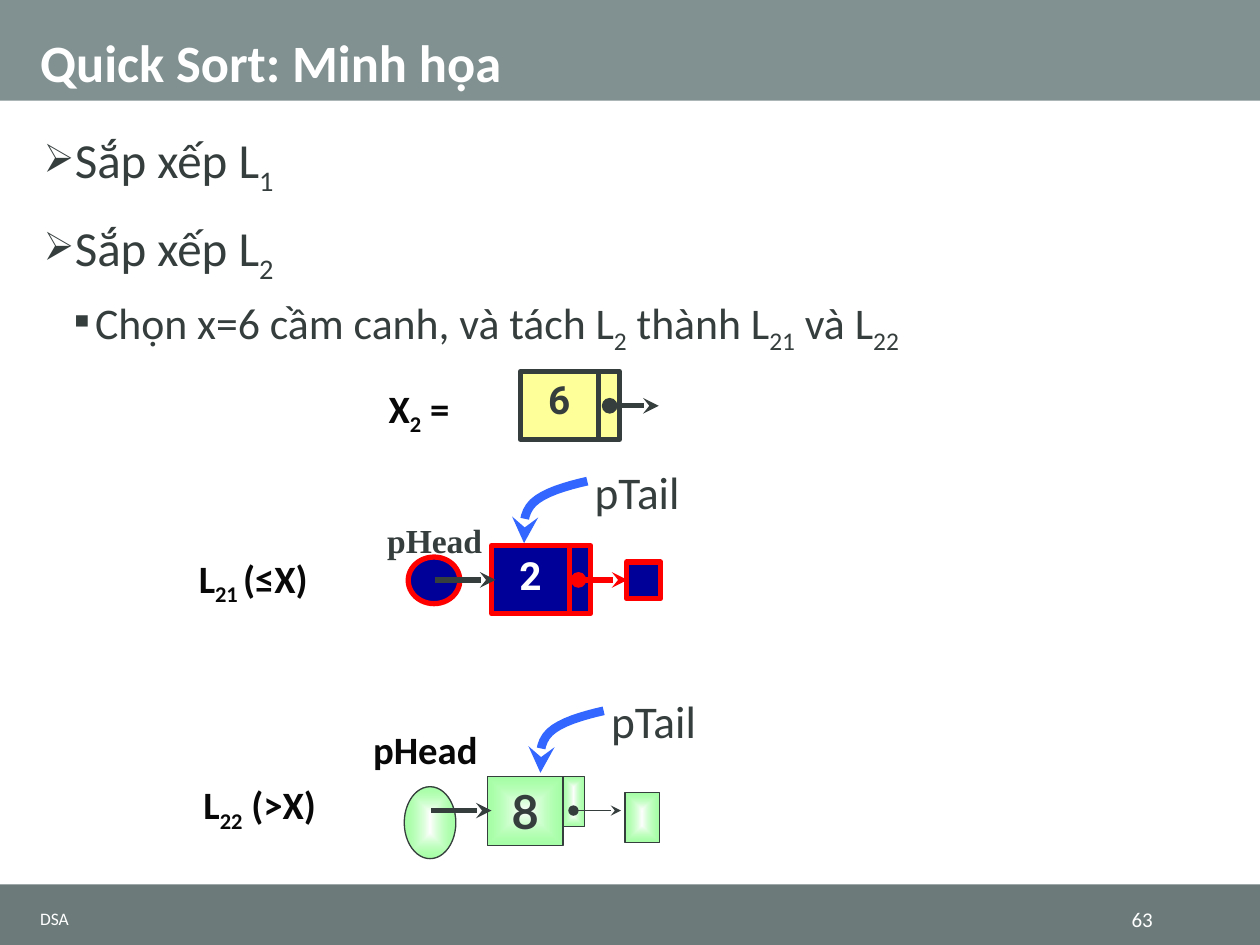
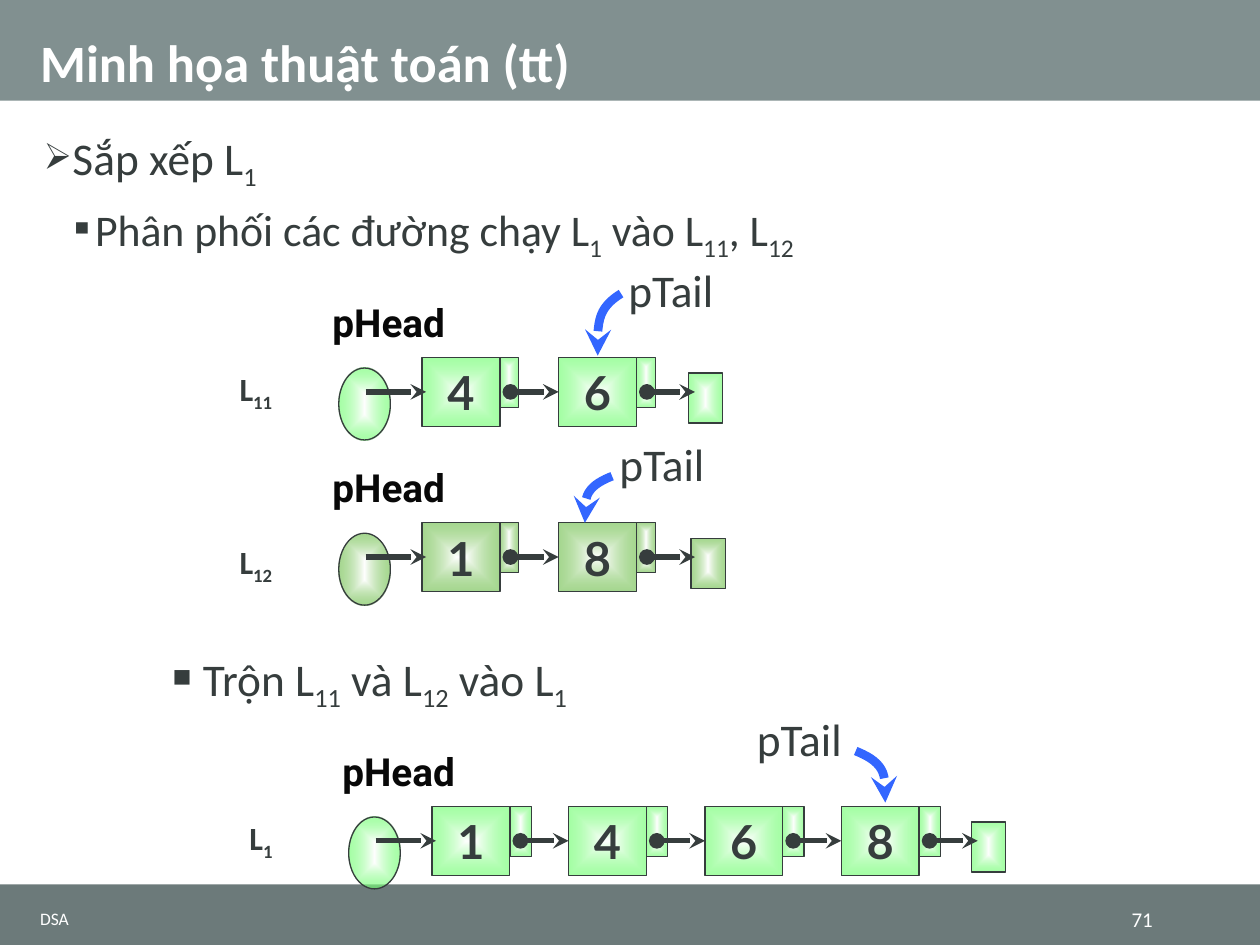
from lxml.etree import SubElement
from pptx import Presentation
from pptx.dml.color import RGBColor as RGB
from pptx.enum.shapes import MSO_CONNECTOR as CONN, MSO_SHAPE as SHAPE
from pptx.enum.text import MSO_ANCHOR as ANCHOR, PP_ALIGN as ALIGN
from pptx.oxml import parse_xml
from pptx.oxml.ns import nsdecls, qn
from pptx.util import Cm, Pt

COLORS = {
    "header": "819090", "footer": "6C7A7A", "ink": "363D3D", "black": "080808",
    "white": "FFFFFF", "yellow": "FFFF99", "navy": "000099", "red": "FF0000",
    "blue": "3366FF", "mint": "69FF69", "leaf": "6ABD45",
}
GRADIENTS = {"mint", "leaf"}
LEFT, CENTER, RIGHT = ALIGN.LEFT, ALIGN.CENTER, ALIGN.RIGHT
TOP, MIDDLE, BOTTOM = ANCHOR.TOP, ANCHOR.MIDDLE, ANCHOR.BOTTOM

STYLES = {
    "title": ("white", LEFT, BOTTOM, {"name": "Calibri", "size": Pt(30), "bold": True}),
    "body28": ("ink", LEFT, TOP, {"name": "Calibri", "size": Pt(28)}),
    "body26": ("ink", LEFT, TOP, {"name": "Calibri", "size": Pt(25.9)}),
    "body25": ("ink", LEFT, TOP, {"name": "Calibri", "size": Pt(25)}),
    "course": ("white", LEFT, MIDDLE, {"name": "Calibri", "size": Pt(10)}),
    "number": ("white", RIGHT, MIDDLE, {"name": "Calibri", "size": Pt(12)}),
    "label": ("black", CENTER, TOP, {"name": "Calibri", "size": Pt(22.1), "bold": True}),
    "phead": ("black", CENTER, TOP, {"name": "Roboto", "size": Pt(22.1), "bold": True}),
    "serif": ("ink", CENTER, TOP, {"name": "Times New Roman", "size": Pt(33.2), "bold": True}),
    "ptail": ("ink", CENTER, TOP, {"name": "Calibri", "size": Pt(25.9)}),
    "tag": ("ink", LEFT, TOP, {"name": "Calibri", "size": Pt(18.5), "bold": True}),
    "value": ("ink", CENTER, TOP, {"name": "Lato", "size": Pt(26.8), "bold": True}),
    "pivot": ("ink", CENTER, TOP, {"name": "Roboto", "size": Pt(22.1), "bold": True}),
    "small": ("white", CENTER, TOP, {"name": "Roboto", "size": Pt(22.1), "bold": True}),
}
BULLETS = {
    "arrow": {"char": "➢", "left": 0.43, "first": -0.36, "space": 6, "pct": 80},
    "square": {"char": "▪", "left": 0.94, "first": -0.36, "space": 0, "pct": 80},
    "merge": {"char": "▪", "left": 1.47, "first": -0.76, "space": 0, "pct": 100},
}
ROW = {
    "fill": "mint", "line": "ink", "width": 0.75, "node": (1.57, 1.39),
    "cell": (0.38, 1.01), "head": (0.21, 1.45), "null": (2.62, 0.31, 1.01),
    "link": (1.78, 2.75), "link_line": ("ink", 3), "style": "value", "inset": 0.13,
}
PITCH = 2.75
BODY = (0.81, 2.62, 23.8, 15.1)

SLIDES = [
    {
        "title": "Quick Sort: Minh họa", "number": "63",
        "bodies": [(BODY, [
            ("Sắp xếp L~1~", "body28", "arrow"),
            ("Sắp xếp L~2~", "body28", "arrow"),
            ("Chọn x=6 cầm canh, và tách L~2~ thành L~21~ và L~22~", "body25", "square"),
        ])],
        "rows": [
            {"values": "6", "x": 10.49, "y": 7.49, "fill": "yellow", "width": 3,
             "node": (1.57, 1.37), "cell": (0.43, 1.37), "head": None, "null": None,
             "link": (1.8, 2.79), "style": "pivot", "inset": 0.08},
            {"values": "2", "x": 9.91, "y": 11, "fill": "navy", "line": "red", "width": 3,
             "node": (1.57, 1.37), "cell": (0.43, 1.37), "head": (0.23, 0.94),
             "null": (2.72, 0.33, 0.74), "link": (1.75, 2.74),
             "link_line": ("red", 3), "style": "small"},
            {"values": "8", "x": 9.83, "y": 15.65, "node": (1.52, 1.39),
             "cell": (0.43, 1.01), "null": (2.77, 0.33, 1.01),
             "link": (1.73, 2.69), "link_line": ("ink", 0.75)},
        ],
        "curves": [(11.84, 9.7, -1.3, 1.25), (12.17, 14.33, -1.3, 1.25)],
        "labels": [
            (7.44, 7.75, 2.01, 1, "X~2~ =", "label"),
            (3.38, 11.18, 3.45, 1.07, "L~21 ~(≤X)", "label"),
            (7.01, 9.7, 3.51, 1.65, "~pHead~", "serif"),
            (11.84, 9.35, 2.01, 1, "pTail", "ptail"),
            (7.19, 14.63, 2.77, 1.12, "pHead", "label"),
            (3.51, 15.75, 3.45, 0.97, "L~22~ (>X)", "label"),
            (12.17, 13.97, 2.01, 1, "pTail", "ptail"),
        ],
    },
    {
        "title": "Minh họa thuật toán (tt)", "number": "71",
        "bodies": [
            (BODY, [
                ("Sắp xếp L~1~", "body26", "arrow"),
                ("Phân phối các đường chạy L~1~ vào L~11~, L~12~", "body25", "square"),
            ]),
            ((2.62, 13.13, 20.7, 1.2), [("Trộn L~11~ và L~12~ vào L~1~", "body26", "merge")]),
        ],
        "rows": [
            {"values": "46", "x": 8.51, "y": 7.21, "tag": ("L~11~", 0.23)},
            {"values": "18", "x": 8.51, "y": 10.54, "fill": "leaf",
             "null": (2.67, 0.31, 1.01), "tag": ("L~12~", 0.38)},
            {"values": "1468", "x": 8.71, "y": 16.26, "cell": (0.43, 1.01),
             "tag": ("L~1~", 0.23)},
        ],
        "curves": [(12.52, 5.92, -0.48, 1.25), (12.34, 9.6, -0.56, 0.94),
                   (17.25, 15.14, 0.61, 1.04)],
        "labels": [
            (12.52, 5.28, 2.01, 1, "pTail", "ptail"),
            (12.34, 8.79, 2.01, 1, "pTail", "ptail"),
            (15.11, 14.33, 2.01, 1, "pTail", "ptail"),
        ],
    },
]
BEND = [
    [(0, 0), (0.33, 0.08), (0.67, 0.18), (0.84, 0.35)],
    [(0.84, 0.35), (1, 0.51), (1, 0.76), (0.98, 1)],
]
STEPS = 8


def write(tf, p, text, style):
    color, align, anchor, fmt = STYLES[style]
    tf.word_wrap = True
    tf.vertical_anchor = anchor
    tf.margin_left = tf.margin_right = tf.margin_bottom = 0
    p.alignment = align
    for i, part in enumerate(text.split("~")):
        if not part:
            continue
        r = p.add_run()
        r.text = part
        for name, value in fmt.items():
            setattr(r.font, name, value)
        r.font.color.rgb = RGB.from_string(COLORS[color])
        if i % 2:
            r._r.get_or_add_rPr().set("baseline", "-25000")


def paint(sp, fill, line, width, head=None, tail=None):
    spPr = sp._element.spPr
    if fill in GRADIENTS:
        sp.fill.gradient()
        spPr.replace(spPr.find(qn("a:gradFill")), parse_xml(
            f'<a:gradFill {nsdecls("a")} rotWithShape="1"><a:gsLst>'
            f'<a:gs pos="0"><a:srgbClr val="{COLORS["white"]}"/></a:gs>'
            f'<a:gs pos="100000"><a:srgbClr val="{COLORS[fill]}">'
            '<a:alpha val="60000"/></a:srgbClr></a:gs></a:gsLst><a:path path="rect">'
            '<a:fillToRect l="50000" t="50000" r="50000" b="50000"/></a:path></a:gradFill>'))
    elif fill:
        sp.fill.solid()
        sp.fill.fore_color.rgb = RGB.from_string(COLORS[fill])
    if line:
        sp.line.color.rgb = RGB.from_string(COLORS[line])
        sp.line.width = Pt(width)
    else:
        sp.line.fill.background()
    for end, kind in (("a:headEnd", head), ("a:tailEnd", tail)):
        if kind:
            SubElement(spPr.find(qn("a:ln")), qn(end), type=kind)
    SubElement(spPr, qn("a:effectLst"))


prs = Presentation()
prs.slide_width, prs.slide_height = Cm(25.4), Cm(19.05)

for data in SLIDES:
    s = prs.slides.add_slide(prs.slide_layouts[6])
    for y, h, fill in ((0, 2.03, "header"), (17.83, 1.22, "footer")):
        sp = s.shapes.add_shape(SHAPE.RECTANGLE, 0, Cm(y), prs.slide_width, Cm(h))
        paint(sp, fill, None, 0)

    for box, paragraphs in data["bodies"]:
        tf = s.shapes.add_textbox(*map(Cm, box)).text_frame
        tf.margin_top = 0
        for i, (text, style, kind) in enumerate(paragraphs):
            p = tf.add_paragraph() if i else tf.paragraphs[0]
            write(tf, p, text, style)
            bullet = BULLETS[kind]
            p.space_before = p.space_after = Pt(bullet["space"])
            pPr = p._p.get_or_add_pPr()
            pPr.set("marL", str(Cm(bullet["left"])))
            pPr.set("indent", str(Cm(bullet["first"])))
            SubElement(pPr, qn("a:buSzPct"), val=str(bullet["pct"] * 1000))
            SubElement(pPr, qn("a:buChar"), char=bullet["char"])

    labels = [
        (0.81, 0, 23.8, 1.9, data["title"], "title"),
        (0.81, 18.19, 17.1, 0.66, "DSA", "course"),
        (21.77, 18.19, 1.47, 0.66, data["number"], "number"),
    ] + data["labels"]

    for changes in data["rows"]:
        row = {**ROW, **changes}
        x, y, look = row["x"], row["y"], (row["fill"], row["line"], row["width"])
        node_w, node_h = row["node"]
        last = x + PITCH * (len(row["values"]) - 1)
        boxes, links = [], []
        if row["head"]:
            dy, h = row["head"]
            boxes.append((SHAPE.OVAL, x - 1.68, y + dy, 1.04, h, ""))
            links.append((x - 1.14, x + 0.08, "ink", 3, None))
        if row["null"]:
            dx, dy, h = row["null"]
            boxes.append((SHAPE.RECTANGLE, last + dx, y + dy, 0.69, h, ""))
        for i, value in enumerate(row["values"]):
            left = x + PITCH * i
            boxes.append((SHAPE.RECTANGLE, left + node_w, y, *row["cell"], ""))
            boxes.append((SHAPE.RECTANGLE, left, y, node_w, node_h, value))
            start, end = row["link"]
            links.append((left + start, left + end, *row["link_line"], "oval"))

        for shape, *box, text in boxes:
            sp = s.shapes.add_shape(shape, *map(Cm, box))
            paint(sp, *look)
            if text:
                tf = sp.text_frame
                tf.margin_top = Cm(row["inset"])
                write(tf, tf.paragraphs[0], text, row["style"])
        for start, end, color, width, head in links:
            mid = Cm(y + 0.69)
            sp = s.shapes.add_connector(CONN.STRAIGHT, Cm(start), mid, Cm(end), mid)
            paint(sp, None, color, width, head, "stealth")
        if "tag" in row:
            text, dy = row["tag"]
            labels.append((x - 3.68, y + dy, 1.5, 0.8, text, "tag"))
            labels.append((x - 2.06, y - 1.19, 2.77, 1.07, "pHead", "phead"))

    for x, y, dx, dy in data["curves"]:
        points = []
        for bend in BEND:
            for step in range(1, STEPS + 1):
                t = step / STEPS
                weights = ((1 - t) ** 3, 3 * t * (1 - t) ** 2, 3 * t * t * (1 - t), t ** 3)
                u, v = (sum(w * c for w, c in zip(weights, axis)) for axis in zip(*bend))
                points.append((Cm(x + dx * u), Cm(y + dy * v)))
        fb = s.shapes.build_freeform(Cm(x), Cm(y))
        fb.add_line_segments(points, close=False)
        sp = fb.convert_to_shape()
        sp.fill.background()
        paint(sp, None, "blue", 5, tail="stealth")

    for *box, text, style in labels:
        tf = s.shapes.add_textbox(*map(Cm, box)).text_frame
        tf.margin_top = 0
        write(tf, tf.paragraphs[0], text, style)
        if style == "title":
            tf.paragraphs[0].line_spacing = 0.9

prs.save("out.pptx")
